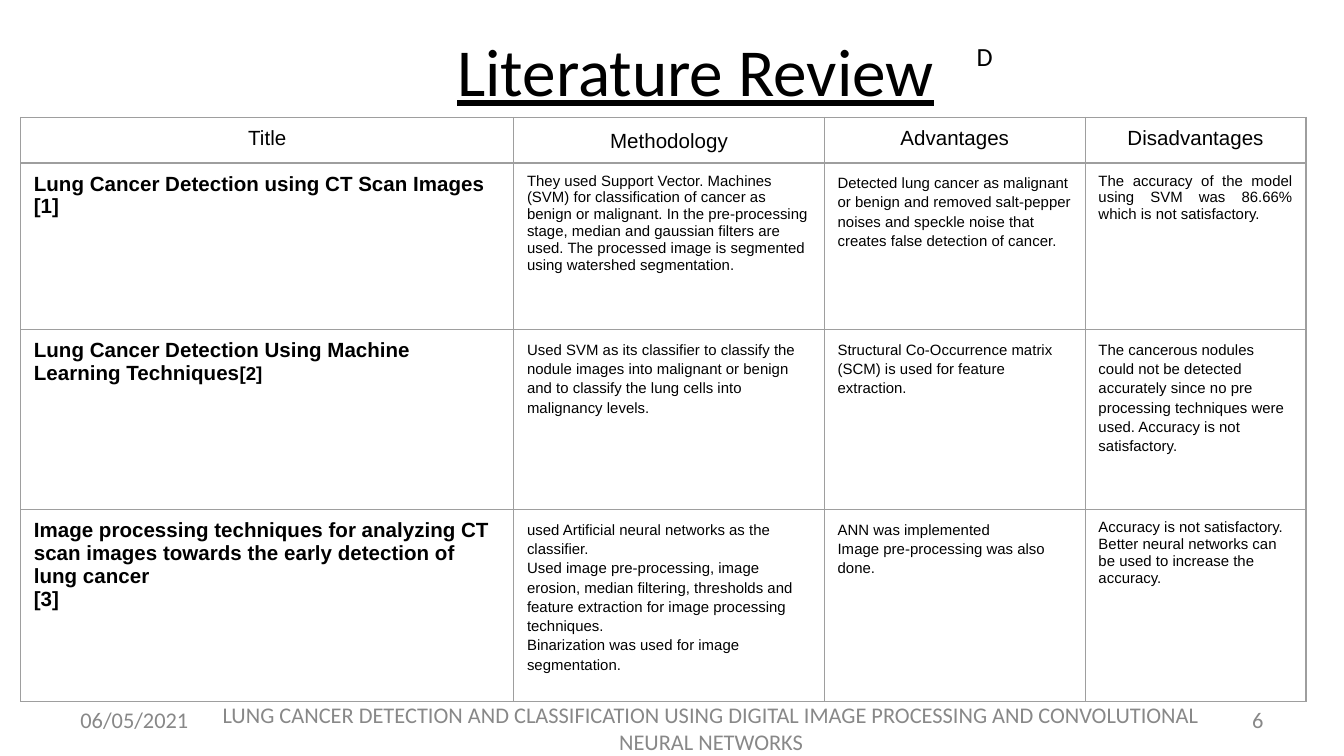
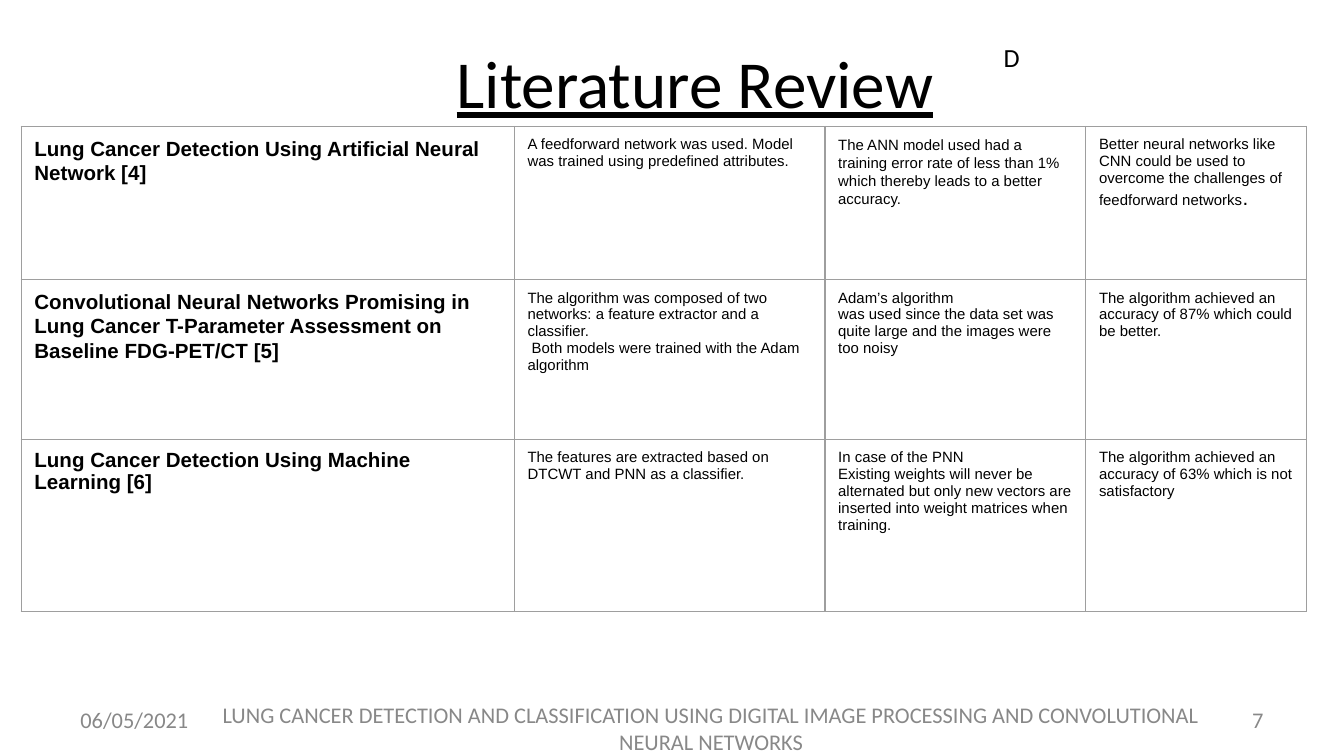
from dataclasses import dataclass
from typing import NamedTuple

from lxml import etree
from pptx import Presentation
from pptx.dml.color import RGBColor
from pptx.enum.text import MSO_ANCHOR, MSO_AUTO_SIZE, PP_ALIGN
from pptx.oxml.ns import qn
from pptx.util import Cm, Pt

LEFT, CENTER, RIGHT, JUSTIFY = PP_ALIGN.LEFT, PP_ALIGN.CENTER, PP_ALIGN.RIGHT, PP_ALIGN.JUSTIFY
TOP, MIDDLE = MSO_ANCHOR.TOP, MSO_ANCHOR.MIDDLE


@dataclass(frozen=True)
class Theme:
    ink: RGBColor = RGBColor(0x00, 0x00, 0x00)
    muted: RGBColor = RGBColor(0x88, 0x88, 0x88)
    paper: RGBColor = RGBColor(0xFF, 0xFF, 0xFF)
    grid: str = "9E9E9E"
    grid_width: Pt = Pt(0.75)
    heading_font: str = "Calibri"
    table_font: str = "Arial"
    title: int = 36
    mark: int = 14
    footer: int = 12
    paper_title: int = 11
    citation: int = 10
    finding: int = 8


THEME = Theme()


class Box(NamedTuple):
    left: float
    top: float
    width: float
    height: float


class Style(NamedTuple):
    size: int
    color: RGBColor = THEME.ink
    font: str = THEME.heading_font
    bold: bool = False
    underline: bool = False


TITLE = Style(THEME.title, underline=True)
MARK = Style(THEME.mark)
FOOTER = Style(THEME.footer, THEME.muted)
HEADER = Style(THEME.paper_title, font=THEME.table_font)
PAPER = HEADER._replace(bold=True)
CITATION = PAPER._replace(size=THEME.citation)
FINDING = HEADER._replace(size=THEME.finding)


class Entry(NamedTuple):
    """Text of one table cell; the tail is a last run in a style of its own."""
    paragraphs: tuple[str, ...]
    style: Style = FINDING
    spacing: float = 1.0
    align: PP_ALIGN = LEFT
    tail: str = ""
    tail_style: Style = FINDING


@dataclass(frozen=True)
class Review:
    number: str
    title_box: Box
    title_align: PP_ALIGN
    mark_box: Box
    table_left: float
    table_top: float
    row_heights: tuple[float, ...]
    rows: tuple[tuple[Entry, ...], ...]


COLUMN_WIDTHS = (9.32, 5.87, 4.93, 4.17)
DATE_BOX = Box(1.27, 13.23, 5.92, 0.76)
NUMBER_BOX = DATE_BOX._replace(left=18.21)
PROJECT_BOX = Box(3.38, 13.26, 20.12, 1.02)
PROJECT = ("LUNG CANCER DETECTION AND CLASSIFICATION USING DIGITAL IMAGE PROCESSING "
           "AND CONVOLUTIONAL NEURAL NETWORKS")


def header(text: str, spacing: float = 1.0) -> Entry:
    return Entry((text,), HEADER, spacing, CENTER)


def paper(*paragraphs: str, spacing: float = 1.0, citation: str = "") -> Entry:
    return Entry(paragraphs, PAPER, spacing, tail=citation, tail_style=CITATION)


def finding(*paragraphs: str, spacing: float = 1.0) -> Entry:
    return Entry(paragraphs, spacing=spacing)


def loose(*paragraphs: str) -> Entry:
    return finding(*paragraphs, spacing=1.15)


REVIEWS = (
    Review(
        "6", Box(7.92, 0.3, 10.46, 1.32), CENTER, Box(18.21, 0.51, 3.18, 1.12),
        0.39, 2.22, (0.86, 3.15, 3.4, 3.63),
        (
            (header("Title"), header("Methodology", 1.15),
             header("Advantages"), header("Disadvantages")),
            (paper("Lung Cancer Detection using CT Scan Images [1]"),
             finding("They used Support Vector. Machines (SVM) for classification of cancer as "
                     "benign or malignant. In the pre-processing stage, median and gaussian "
                     "filters are used. The processed image is segmented using watershed "
                     "segmentation."),
             loose("Detected lung cancer as malignant or benign and removed salt-pepper noises "
                   "and speckle noise that creates false detection of cancer."),
             Entry(("The accuracy of the model using SVM was 86.66% which is not "
                    "satisfactory.",), align=JUSTIFY)),
            (paper("Lung Cancer Detection Using Machine Learning Techniques", citation="[2]"),
             loose("Used SVM as its classifier to classify the nodule images into malignant or "
                   "benign and to classify the lung cells into malignancy levels."),
             loose("Structural Co-Occurrence matrix (SCM) is used for feature extraction."),
             loose("The cancerous nodules could not be detected accurately since no pre "
                   "processing techniques were used. Accuracy is not satisfactory.")),
            (paper("Image processing techniques for analyzing CT scan images towards the early "
                   "detection of lung cancer", "[3]"),
             loose("used Artificial neural networks as the classifier.",
                   "Used image pre-processing, image erosion, median filtering, thresholds and "
                   "feature extraction for image processing techniques.",
                   "Binarization was used for image segmentation."),
             loose("ANN was implemented", "Image pre-processing was also done."),
             finding("Accuracy is not satisfactory. Better neural networks can be used to "
                     "increase the accuracy.")),
        ),
    ),
    Review(
        "7", Box(8.38, 0.53, 11.07, 1.32), LEFT, Box(18.72, 0.53, 3.18, 1.12),
        0.4, 2.39, (2.9, 3.02, 3.25),
        (
            (paper("Lung Cancer Detection Using Artificial Neural Network [4]", spacing=1.07),
             finding("A feedforward network was used. Model was trained using predefined "
                     "attributes."),
             finding("The ANN model used had a training error rate of less than 1% which thereby "
                     "leads to a better accuracy.", spacing=1.07),
             Entry(("Better neural networks like CNN could be used to overcome the challenges "
                    "of feedforward networks",), tail=".", tail_style=HEADER)),
            (paper("Convolutional Neural Networks Promising in Lung Cancer T-Parameter "
                   "Assessment on Baseline FDG-PET/CT [5]", spacing=1.07),
             finding("The algorithm was composed of two networks: a feature extractor and a "
                     "classifier.", " Both models were trained with the Adam algorithm"),
             finding("Adam’s algorithm", "was used since the data set was quite large and the "
                     "images were too noisy"),
             finding("The algorithm achieved an accuracy of 87% which could be better.")),
            (paper("Lung Cancer Detection Using Machine Learning [6]", spacing=0.99),
             finding("The features are extracted based on DTCWT and PNN as a classifier."),
             finding("In case of the PNN", "Existing weights will never be alternated but only "
                     "new vectors are inserted into weight matrices when training."),
             finding("The algorithm achieved an accuracy of 63% which is not", "satisfactory")),
        ),
    ),
)


def add_run(paragraph, text: str, style: Style) -> None:
    run = paragraph.add_run()
    run.text = text
    font = run.font
    font.name, font.size = style.font, Pt(style.size)
    font.bold, font.underline = style.bold, style.underline
    font.color.rgb = style.color


def write(frame, entry: Entry) -> None:
    for index, text in enumerate(entry.paragraphs):
        paragraph = frame.add_paragraph() if index else frame.paragraphs[0]
        paragraph.alignment = entry.align
        paragraph.line_spacing = entry.spacing
        add_run(paragraph, text, entry.style)
    if entry.tail:
        add_run(paragraph, entry.tail, entry.tail_style)


def set_margins(holder, side: float, edge: float) -> None:
    holder.margin_left = holder.margin_right = Cm(side)
    holder.margin_top = holder.margin_bottom = Cm(edge)


def add_text(slide, box: Box, text: str, style: Style, align: PP_ALIGN = LEFT,
             anchor: MSO_ANCHOR = TOP, grow: bool = False) -> None:
    frame = slide.shapes.add_textbox(*map(Cm, box)).text_frame
    frame.word_wrap = True
    frame.auto_size = MSO_AUTO_SIZE.SHAPE_TO_FIT_TEXT if grow else MSO_AUTO_SIZE.NONE
    frame.vertical_anchor = anchor
    set_margins(frame, 0.25, 0.13 if anchor == MIDDLE else 0.25)
    write(frame, Entry((text,), style, align=align))


def add_borders(cell) -> None:
    properties = cell._tc.get_or_add_tcPr()
    for side in ("lnL", "lnR", "lnT", "lnB"):
        line = etree.SubElement(properties, qn(f"a:{side}"), w=str(THEME.grid_width))
        fill = etree.SubElement(line, qn("a:solidFill"))
        etree.SubElement(fill, qn("a:srgbClr"), val=THEME.grid)


def add_review_table(slide, review: Review) -> None:
    table = slide.shapes.add_table(
        len(review.rows), len(COLUMN_WIDTHS), Cm(review.table_left), Cm(review.table_top),
        Cm(sum(COLUMN_WIDTHS)), Cm(sum(review.row_heights))).table
    table.first_row = table.horz_banding = False
    for column, width in zip(table.columns, COLUMN_WIDTHS):
        column.width = Cm(width)
    for row, height, entries in zip(table.rows, review.row_heights, review.rows):
        row.height = Cm(height)
        for cell, entry in zip(row.cells, entries):
            set_margins(cell, 0.25, 0.18)
            add_borders(cell)
            cell.fill.background()
            write(cell.text_frame, entry)


def add_review_slide(deck, review: Review) -> None:
    slide = deck.slides.add_slide(deck.slide_layouts[6])
    slide.background.fill.solid()
    slide.background.fill.fore_color.rgb = THEME.paper
    add_review_table(slide, review)
    add_text(slide, PROJECT_BOX, PROJECT, FOOTER, CENTER, MIDDLE)
    add_text(slide, review.title_box, "Literature Review", TITLE, review.title_align)
    add_text(slide, DATE_BOX, "06/05/2021", FOOTER, LEFT, MIDDLE)
    add_text(slide, NUMBER_BOX, review.number, FOOTER, RIGHT, MIDDLE)
    add_text(slide, review.mark_box, "D", MARK, grow=True)


def main() -> None:
    deck = Presentation()
    deck.slide_width, deck.slide_height = Cm(25.4), Cm(14.29)
    for review in REVIEWS:
        add_review_slide(deck, review)
    deck.save("out.pptx")


if __name__ == "__main__":
    main()
